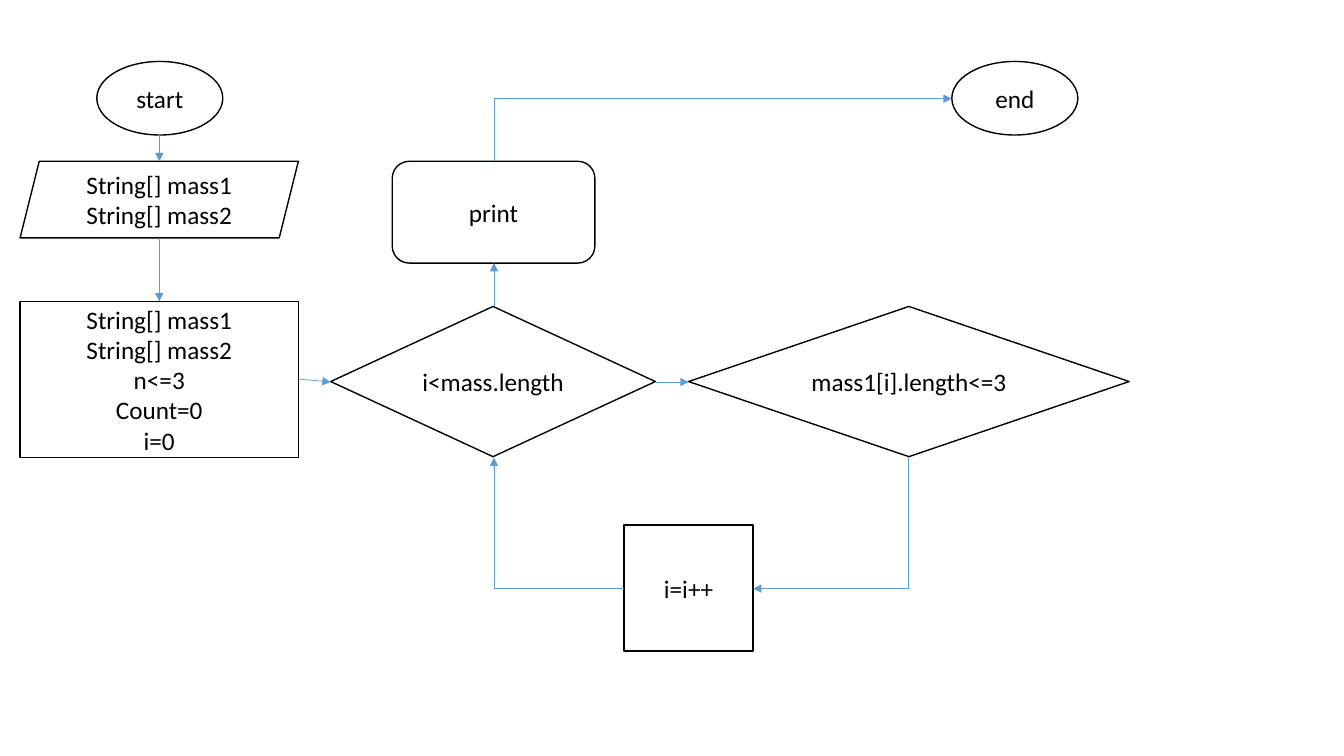
"""Build a flowchart slide that counts short strings in an array."""
import pptx
import pptx.dml.color
import pptx.enum.shapes
import pptx.enum.text
import pptx.oxml.ns
import pptx.util
from lxml import etree

PX = 9144
SHAPE = pptx.enum.shapes.MSO_SHAPE
CONNECTOR = pptx.enum.shapes.MSO_CONNECTOR
qn = pptx.oxml.ns.qn


def color(hex_string):
    return pptx.dml.color.RGBColor.from_string(hex_string)


def write_text(shape, text, size=18, font="Calibri", ink="000000"):
    frame = shape.text_frame
    frame.word_wrap = False
    frame.vertical_anchor = pptx.enum.text.MSO_ANCHOR.MIDDLE
    frame.text = text
    for paragraph in frame.paragraphs:
        paragraph.alignment = pptx.enum.text.PP_ALIGN.CENTER
        paragraph.font.size = pptx.util.Pt(size)
        paragraph.font.name = font
        paragraph.font.color.rgb = color(ink)


presentation = pptx.Presentation()
presentation.slide_width = 1333 * PX
presentation.slide_height = 750 * PX
slide = presentation.slides.add_slide(presentation.slide_layouts[6])

steps = [
    (SHAPE.OVAL, 96, 61, 125, 73, "start"),
    (SHAPE.PARALLELOGRAM, 20, 160, 276, 76, "String[] mass1\nString[] mass2"),
    (SHAPE.RECTANGLE, 20, 299, 276, 155,
     "String[] mass1\nString[] mass2\nn<=3\nCount=0\ni=0"),
    (SHAPE.DIAMOND, 328, 304, 322, 149, "i<mass.length"),
    (SHAPE.DIAMOND, 683, 304, 437, 149, "mass1[i].length<=3"),
    (SHAPE.RECTANGLE, 619, 521, 128, 125, "i=i++"),
    (SHAPE.FLOWCHART_ALTERNATE_PROCESS, 389, 160, 201, 101, "print"),
    (SHAPE.OVAL, 944, 61, 125, 73, "end"),
]
for kind, left, top, width, height, text in steps:
    shape = slide.shapes.add_shape(kind, left * PX, top * PX, width * PX, height * PX)
    shape.shadow.inherit = False
    shape.fill.solid()
    shape.fill.fore_color.rgb = color("FFFFFF")
    shape.line.color.rgb = color("000000")
    shape.line.width = pptx.util.Pt(1)
    write_text(shape, text)

arrows = [
    ("straight", 158, 134, 158, 160),
    ("straight", 158, 236, 158, 299),
    ("straight", 296, 376, 328, 379),
    ("straight", 490, 304, 490, 261),
    ("vertical first", 490, 160, 944, 98),
    ("vertical first", 901, 454, 747, 584),
    ("horizontal first", 619, 584, 490, 454),
    ("straight", 651, 379, 683, 379),
]
for route, x1, y1, x2, y2 in arrows:
    kind = CONNECTOR.STRAIGHT if route == "straight" else CONNECTOR.ELBOW
    connector = slide.shapes.add_connector(kind, x1 * PX, y1 * PX, x2 * PX, y2 * PX)
    connector.line.color.rgb = color("5B9BD5")
    connector.line.width = pptx.util.Pt(0.5)
    properties = connector.element.spPr
    line = properties.find(qn("a:ln"))
    etree.SubElement(line, qn("a:tailEnd"), type="triangle")
    etree.SubElement(properties, qn("a:effectLst"))
    if route != "straight":
        properties.find(qn("a:prstGeom")).set("prst", "bentConnector2")
    if route == "vertical first":
        width, height = abs(y2 - y1), abs(x2 - x1)
        connector.left = (x1 + x2 - width) * PX // 2
        connector.top = (y1 + y2 - height) * PX // 2
        connector.width, connector.height = width * PX, height * PX
        transform = properties.find(qn("a:xfrm"))
        transform.set("rot", str(90 * 60000))
        transform.set("flipH", str(int(y2 < y1)))
        transform.set("flipV", str(int(x2 > x1)))

presentation.save("out.pptx")
